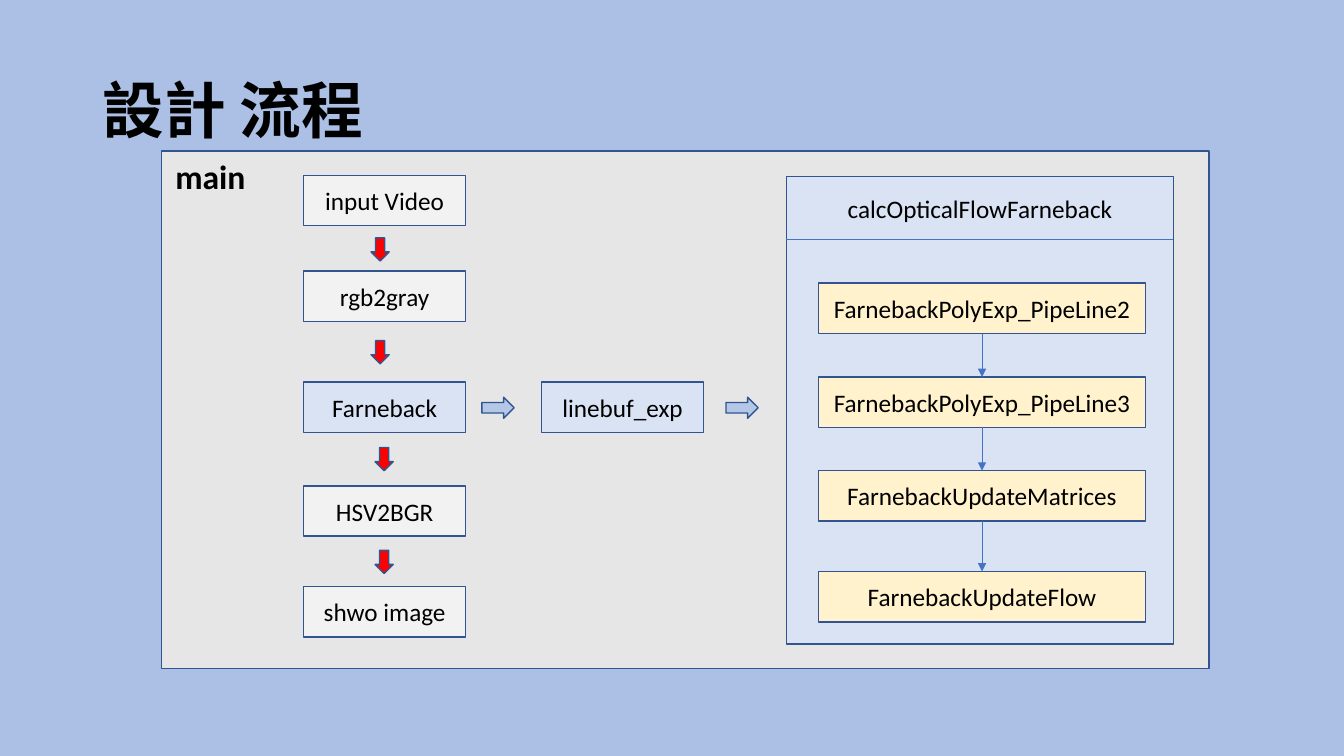
"""Build the design flow slide: the main pipeline beside the Farneback optical flow steps."""
from dataclasses import dataclass
from itertools import pairwise

from lxml import etree
from pptx import Presentation
from pptx.dml import color
from pptx.enum import shapes, text
from pptx.oxml import ns
from pptx.util import Inches, Pt

BACKGROUND = color.RGBColor(0xAB, 0xC0, 0xE4)
PANEL_GRAY = color.RGBColor(0xE7, 0xE6, 0xE6)
STEP_GRAY = color.RGBColor(0xF2, 0xF2, 0xF2)
PALE_BLUE = color.RGBColor(0xDA, 0xE3, 0xF3)
ARROW_BLUE = color.RGBColor(0xB4, 0xC7, 0xE7)
CREAM = color.RGBColor(0xFF, 0xF2, 0xCC)
RED = color.RGBColor(0xFF, 0x00, 0x00)
OUTLINE = color.RGBColor(0x32, 0x54, 0x91)
CONNECTOR_BLUE = color.RGBColor(0x44, 0x72, 0xC4)
BLACK = color.RGBColor(0x00, 0x00, 0x00)

RECT = shapes.MSO_SHAPE.RECTANGLE
DOWN = shapes.MSO_SHAPE.DOWN_ARROW
RIGHT = shapes.MSO_SHAPE.RIGHT_ARROW
STEP_HEIGHT = 0.5


@dataclass(frozen=True)
class Block:
    """A filled and outlined shape, with an optional centred label."""
    left: float
    top: float
    width: float
    height: float
    fill: color.RGBColor
    label: str = ""
    kind: shapes.MSO_SHAPE = RECT


@dataclass(frozen=True)
class Caption:
    """A free-standing line of text."""
    left: float
    top: float
    width: float
    height: float
    label: str
    size: int
    bold: bool = False
    wrap: bool = False
    align: text.PP_ALIGN = text.PP_ALIGN.LEFT
    anchor: text.MSO_ANCHOR = text.MSO_ANCHOR.TOP
    spacing: float = 1.0


def pipeline_step(left: float, top: float, fill: color.RGBColor, label: str) -> Block:
    """Describe one step of the main pipeline."""
    return Block(left, top, 1.61, STEP_HEIGHT, fill, label)


def write_label(frame, label: str, size: int, align: text.PP_ALIGN, bold: bool = False):
    """Write one styled paragraph into a text frame and return it."""
    paragraph = frame.paragraphs[0]
    paragraph.text = label
    paragraph.alignment = align
    paragraph.font.name = "Calibri"
    paragraph.font.size = Pt(size)
    paragraph.font.bold = bold
    paragraph.font.color.rgb = BLACK
    return paragraph


def draw_block(slide, block: Block) -> None:
    """Draw a shape with its fill, outline and label."""
    shape = slide.shapes.add_shape(block.kind, Inches(block.left), Inches(block.top),
                                   Inches(block.width), Inches(block.height))
    shape.shadow.inherit = False
    shape.fill.solid()
    shape.fill.fore_color.rgb = block.fill
    shape.line.color.rgb = OUTLINE
    shape.line.width = Pt(1)
    if block.label:
        shape.text_frame.vertical_anchor = text.MSO_ANCHOR.MIDDLE
        write_label(shape.text_frame, block.label, 18, text.PP_ALIGN.CENTER)


def draw_caption(slide, caption: Caption) -> None:
    """Draw a text box."""
    frame = slide.shapes.add_textbox(Inches(caption.left), Inches(caption.top),
                                     Inches(caption.width), Inches(caption.height)).text_frame
    frame.word_wrap = caption.wrap
    frame.vertical_anchor = caption.anchor
    paragraph = write_label(frame, caption.label, caption.size, caption.align, caption.bold)
    paragraph.line_spacing = caption.spacing


def draw_line(slide, x1: float, y1: float, x2: float, y2: float, arrow: bool = False) -> None:
    """Draw a thin straight line, with an arrowhead at its end if wanted."""
    line = slide.shapes.add_connector(shapes.MSO_CONNECTOR.STRAIGHT, Inches(x1), Inches(y1),
                                      Inches(x2), Inches(y2))
    line.line.color.rgb = CONNECTOR_BLUE
    line.line.width = Pt(0.5)
    if arrow:
        etree.SubElement(line.line._get_or_add_ln(), ns.qn("a:tailEnd"), type="triangle")
    etree.SubElement(line._element.spPr, ns.qn("a:effectLst"))


PANELS = [
    Block(1.6, 1.5, 10.39, 5.13, PANEL_GRAY),
    Block(7.8, 1.75, 3.84, 4.64, PALE_BLUE),
]
PIPELINE = [
    pipeline_step(3.01, 1.74, STEP_GRAY, "input Video"),
    pipeline_step(3.01, 2.69, STEP_GRAY, "rgb2gray"),
    pipeline_step(3.01, 3.79, PALE_BLUE, "Farneback"),
    pipeline_step(3.01, 4.82, STEP_GRAY, "HSV2BGR"),
    pipeline_step(3.01, 5.82, STEP_GRAY, "shwo image"),
    pipeline_step(5.37, 3.79, PALE_BLUE, "linebuf_exp"),
]
DOWN_ARROWS = [Block(left, top, 0.18, 0.23, RED, kind=DOWN)
               for left, top in [(3.68, 2.36), (3.68, 3.38), (3.72, 4.44), (3.72, 5.46)]]
RIGHT_ARROWS = [Block(left, 3.94, 0.32, 0.21, ARROW_BLUE, kind=RIGHT) for left in (4.78, 7.2)]
FLOW_STEPS = [Block(8.12, top, 3.24, STEP_HEIGHT, CREAM, label) for top, label in [
    (2.81, "FarnebackPolyExp_PipeLine2"),
    (3.74, "FarnebackPolyExp_PipeLine3"),
    (4.67, "FarnebackUpdateMatrices"),
    (5.67, "FarnebackUpdateFlow"),
]]
CAPTIONS = [
    Caption(0.92, 0.4, 11.5, 1.45, "設計 流程", 44, bold=True, wrap=True,
            anchor=text.MSO_ANCHOR.MIDDLE, spacing=0.9),
    Caption(1.64, 1.5, 0.9, 0.5, "main", 24, bold=True),
    Caption(8.29, 1.87, 2.86, 0.4, "calcOpticalFlowFarneback", 18, align=text.PP_ALIGN.CENTER),
]


def main() -> None:
    """Build and save the slide."""
    deck = Presentation()
    deck.slide_width, deck.slide_height = Inches(13.33), Inches(7.5)
    slide = deck.slides.add_slide(deck.slide_layouts[6])
    slide.background.fill.solid()
    slide.background.fill.fore_color.rgb = BACKGROUND

    for block in PANELS + PIPELINE + DOWN_ARROWS + RIGHT_ARROWS + FLOW_STEPS:
        draw_block(slide, block)
    for upper, lower in pairwise(FLOW_STEPS):
        center = upper.left + upper.width / 2
        draw_line(slide, center, upper.top + upper.height, center, lower.top, arrow=True)
    draw_line(slide, 7.8, 2.37, 11.63, 2.37)
    for caption in CAPTIONS:
        draw_caption(slide, caption)
    deck.save("out.pptx")


if __name__ == "__main__":
    main()
